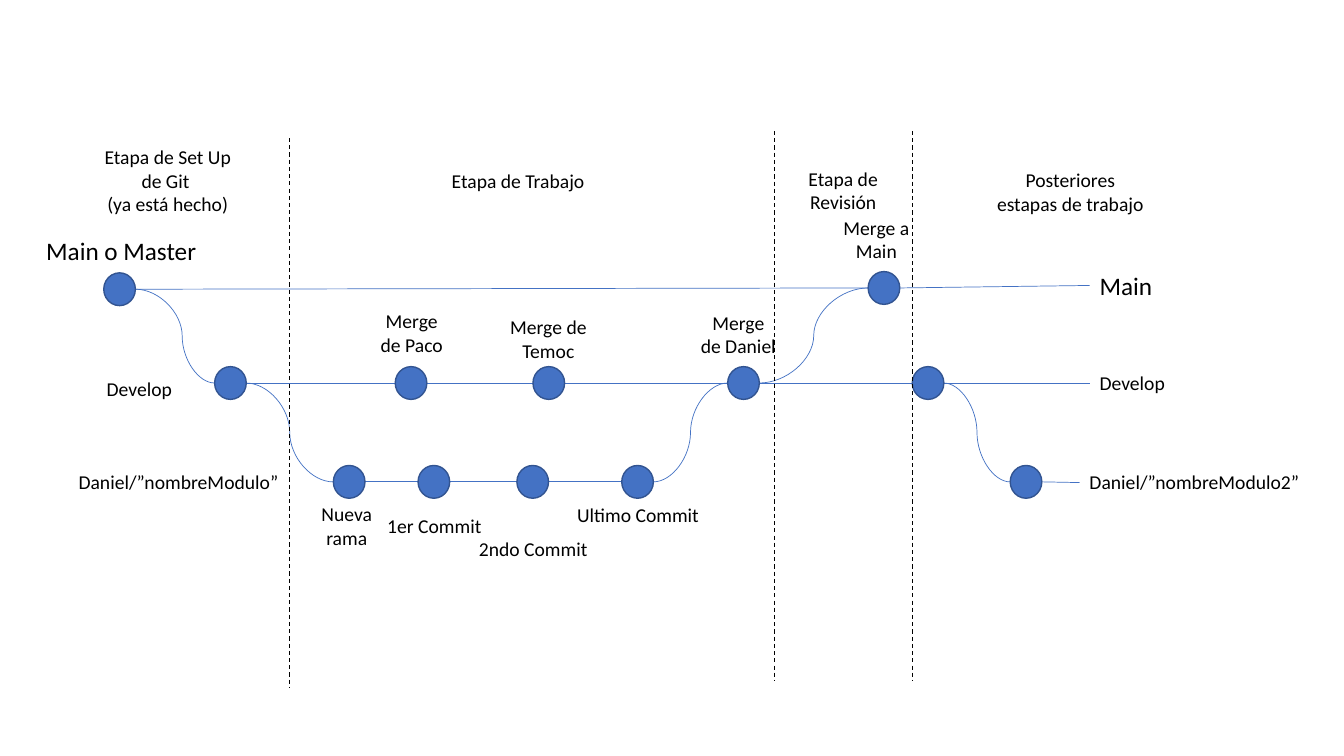
from lxml.etree import SubElement
from pptx import Presentation
from pptx.dml.color import RGBColor
from pptx.enum.dml import MSO_LINE_DASH_STYLE as Dash
from pptx.enum.shapes import MSO_CONNECTOR as Connector, MSO_SHAPE as Shape
from pptx.enum.text import MSO_AUTO_SIZE as AutoSize, PP_ALIGN as Align
from pptx.oxml.ns import qn
from pptx.util import Pt

MAIN, MAIN_MERGE, DEVELOP, BRANCH = 206.6, 205.7, 273.6, 344.2

COMMITS = {
    "main start": (85.4, MAIN),
    "develop start": (164.6, DEVELOP),
    "new branch": (249.4, BRANCH),
    "first": (309.9, BRANCH),
    "second": (380.5, BRANCH),
    "last": (455.4, BRANCH),
    "merge paco": (293.6, DEVELOP),
    "merge temoc": (392, DEVELOP),
    "merge daniel": (531.1, DEVELOP),
    "merge main": (631.4, MAIN_MERGE),
    "next develop": (662.9, DEVELOP),
    "next branch": (732.9, BRANCH),
}

STRAIGHT_PATHS = [
    ["main start", "merge main"],
    ["develop start", "merge paco", "merge temoc", "merge daniel", "next develop"],
    ["new branch", "first", "second", "last"],
]

CURVES = [
    ("main start", "develop start", 59.1),
    ("develop start", "new branch", 50),
    ("last", "merge daniel", 50),
    ("merge daniel", "merge main", 50),
    ("next develop", "next branch", 50),
]

TAILS = [
    ("merge main", 778.3, 203.9),
    ("next develop", 778.3, DEVELOP),
    ("next branch", 771.1, 344.7),
]

DIVIDERS = [(206.7, 98.6), (553.4, 93.6), (651.6, 93.6)]
DIVIDER_LENGTH = 392.4

BRANCH_NAMES = [
    ("Main o Master", 25.9, 164.9, 138.2, 18),
    ("Develop", 69.1, 265.9, 82.8, 14),
    ("Daniel/”nombreModulo”", 49, 332.2, 214.6, 14),
    ("Daniel/”nombreModulo2”", 771.1, 332.2, 166.3, 14),
    ("Develop", 778.3, 261.6, 82.8, 14),
    ("Main", 778.3, 189.4, 138.2, 18),
]

CAPTIONS = [
    (["Nueva rama"], 219.6, 355.2, 56.2),
    (["1er Commit"], 269.3, 363.6, 82.1),
    (["2ndo Commit"], 334.1, 380.2, 93.6),
    (["Ultimo Commit"], 403.2, 355.7, 105.1),
    (["Merge de Paco"], 259.9, 217.4, 68.4),
    (["Merge de Temoc"], 352.8, 221.4, 77.8),
    (["Merge de Daniel"], 493.2, 218.2, 68.4),
    (["Merge a Main"], 591.8, 150.5, 68.4),
    (["Etapa de Set Up de Git ", "(ya está hecho)"], 66.2, 100.1, 107.3),
    (["Etapa de Trabajo"], 312.5, 117.4, 115.2),
    (["Etapa de Revisión"], 553, 115.5, 98.6),
    (["Posteriores estapas de trabajo"], 703.4, 116.6, 122.4),
]


def color(hex_text):
    return RGBColor.from_string(hex_text)


class BranchDiagram:
    """Draws commits, links and labels on one slide in a shared style."""

    font = "Calibri"
    blue, outline, black = "4472C4", "325491", "000000"
    commit_width, commit_height = 22.6, 23.4

    def __init__(self, slide):
        self.shapes = slide.shapes

    def commit(self, center_x, center_y):
        width, height = self.commit_width, self.commit_height
        shape = self.shapes.add_shape(
            Shape.OVAL, Pt(center_x - width / 2), Pt(center_y - height / 2),
            Pt(width), Pt(height))
        shape.shadow.inherit = False
        shape.fill.solid()
        shape.fill.fore_color.rgb = color(self.blue)
        shape.line.color.rgb = color(self.outline)
        shape.line.width = Pt(1)

    def line(self, start, end, kind=Connector.STRAIGHT, hex_text=blue, width=0.5):
        connector = self.shapes.add_connector(
            kind, *(Pt(value) for value in (*start, *end)))
        connector.line.color.rgb = color(hex_text)
        connector.line.width = Pt(width)
        SubElement(connector._element.spPr, qn("a:effectLst"))
        return connector

    def right_of(self, name):
        x, y = COMMITS[name]
        return x + self.commit_width / 2, y

    def left_of(self, name):
        x, y = COMMITS[name]
        return x - self.commit_width / 2, y

    def curve(self, first, second, bend):
        connector = self.line(
            self.right_of(first), self.left_of(second), Connector.CURVE)
        guides = connector._element.spPr.find(qn("a:prstGeom")).find(qn("a:avLst"))
        SubElement(guides, qn("a:gd"), name="adj1", fmla=f"val {round(bend * 1000)}")

    def divider(self, x, top):
        connector = self.line(
            (x, top), (x, top + DIVIDER_LENGTH), hex_text=self.black, width=0.75)
        connector.line.dash_style = Dash.DASH

    def label(self, lines, left, top, width, size=14, align=Align.CENTER):
        box = self.shapes.add_textbox(Pt(left), Pt(top), Pt(width), Pt(24.5))
        frame = box.text_frame
        frame.word_wrap = True
        frame.auto_size = AutoSize.SHAPE_TO_FIT_TEXT
        for index, text in enumerate(lines):
            paragraph = frame.add_paragraph() if index else frame.paragraphs[0]
            paragraph.alignment = align
            run = paragraph.add_run()
            run.text = text
            run.font.name = self.font
            run.font.size = Pt(size)
            run.font.color.rgb = color(self.black)


def main():
    presentation = Presentation()
    presentation.slide_width, presentation.slide_height = Pt(960), Pt(540)
    slide = presentation.slides.add_slide(presentation.slide_layouts[6])
    diagram = BranchDiagram(slide)

    for names in STRAIGHT_PATHS:
        for first, second in zip(names, names[1:]):
            diagram.line(diagram.right_of(first), diagram.left_of(second))
    for curve in CURVES:
        diagram.curve(*curve)
    for name, x, y in TAILS:
        diagram.line(diagram.right_of(name), (x, y))
    for center in COMMITS.values():
        diagram.commit(*center)
    for divider in DIVIDERS:
        diagram.divider(*divider)
    for text, left, top, width, size in BRANCH_NAMES:
        diagram.label([text], left, top, width, size, Align.LEFT)
    for caption in CAPTIONS:
        diagram.label(*caption)

    presentation.save("out.pptx")


if __name__ == "__main__":
    main()
